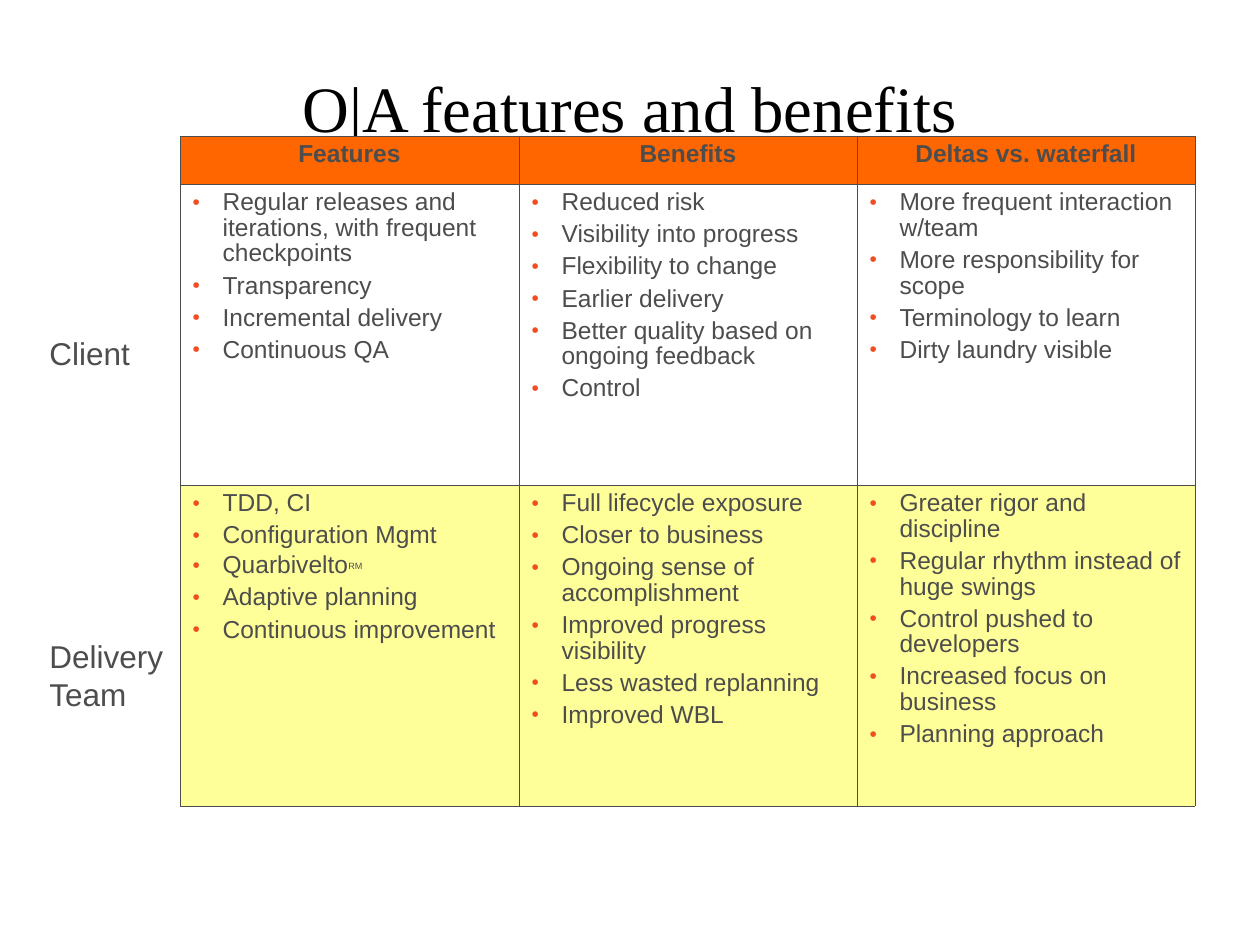
"""Build the features and benefits slide with its two-audience table."""
from lxml import etree
from pptx import Presentation, util as u
from pptx.dml.color import RGBColor
from pptx.enum import text
from pptx.oxml import ns

PX = 914400 // 126
COLORS = {"text": "4D4D4D", "title": "000000", "header": "FF6600",
          "team": "FFFF99", "bullet": "F04E22"}


def style(p, size, color="text", font="Arial", before=0, bold=False):
    p.font.size, p.font.name, p.font.bold = u.Pt(size), font, bold
    p.font.color.rgb = RGBColor.from_string(COLORS[color])
    p.space_before, p.space_after = u.Pt(before), u.Pt(0.1)


def add_xml(parent, tag, index=None, **attrs):
    el = etree.Element(ns.qn(tag), attrs)
    parent.insert(len(parent) if index is None else index, el)
    return el


prs = Presentation()
prs.slide_width, prs.slide_height = 1260 * PX, 945 * PX
s = prs.slides.add_slide(prs.slide_layouts[5])

title = s.shapes.title
title.left, title.top, title.width, title.height = (v * PX for v in (62, 55, 1135, 69))
tf = title.text_frame
tf.auto_size = text.MSO_AUTO_SIZE.NONE
tf.vertical_anchor = text.MSO_ANCHOR.TOP
tf.margin_left = tf.margin_right = tf.margin_bottom = 0
tf.margin_top = 13 * PX
tf.text = "O|A features and benefits"
p = tf.paragraphs[0]
p.alignment = text.PP_ALIGN.CENTER
style(p, 37, "title", "Times New Roman")

rows = [
    [["Features"], ["Benefits"], ["Deltas vs. waterfall"]],
    [["Regular releases and iterations, with frequent checkpoints", "Transparency",
      "Incremental delivery", "Continuous QA"],
     ["Reduced risk", "Visibility into progress", "Flexibility to change",
      "Earlier delivery", "Better quality based on ongoing feedback", "Control"],
     ["More frequent interaction w/team", "More responsibility for scope",
      "Terminology to learn", "Dirty laundry visible"]],
    [["TDD, CI", "Configuration Mgmt", "Quarbivelto^RM", "Adaptive planning",
      "Continuous improvement"],
     ["Full lifecycle exposure", "Closer to business", "Ongoing sense of accomplishment",
      "Improved progress visibility", "Less wasted replanning", "Improved WBL"],
     ["Greater rigor and discipline", "Regular rhythm instead of huge swings",
      "Control pushed to developers", "Increased focus on business",
      "Planning approach"]],
]
fills = ["header", None, "team"]
widths, heights = [339, 338, 338], [48, 301, 321]

table = s.shapes.add_table(3, 3, 180 * PX, 136 * PX, sum(widths) * PX, sum(heights) * PX).table
table.first_row = table.horz_banding = False
for col, width in zip(table.columns, widths):
    col.width = width * PX
for row, height in zip(table.rows, heights):
    row.height = height * PX

for i, row in enumerate(rows):
    for j, items in enumerate(row):
        cell = table.cell(i, j)
        if fills[i]:
            cell.fill.solid()
            cell.fill.fore_color.rgb = RGBColor.from_string(COLORS[fills[i]])
        else:
            cell.fill.background()
        tf = cell.text_frame
        for k, item in enumerate(items):
            p = tf.add_paragraph() if k else tf.paragraphs[0]
            name, _, mark = item.partition("^")
            p.add_run().text = name
            style(p, 14, before=2.4 if mark else 3.6, bold=i == 0)
            p.line_spacing = 0.93
            if mark:
                r = p.add_run()
                r.text = mark
                r.font.size = u.Pt(9)
                r.font._element.set("baseline", "30000")
            if i == 0:
                p.alignment = text.PP_ALIGN.CENTER
                continue
            pPr = p._p.get_or_add_pPr()
            pPr.set("marL", str(30 * PX))
            pPr.set("indent", str(-30 * PX))
            at = pPr.index(pPr.find(ns.qn("a:defRPr")))
            clr = add_xml(pPr, "a:buClr", at)
            add_xml(clr, "a:srgbClr", val=COLORS["bullet"])
            add_xml(pPr, "a:buSzPct", at + 1, val="85000")
            add_xml(pPr, "a:buFont", at + 2, typeface="Arial")
            add_xml(pPr, "a:buChar", at + 3, char="•")
        tcPr = cell._tc.get_or_add_tcPr()
        outer = {"L": j == 0, "R": j == 2, "T": i == 0, "B": i == 2}
        for n, (side, edge) in enumerate(outer.items()):
            ln = add_xml(tcPr, f"a:ln{side}", n, w=str(u.Pt(0.5 if edge else 0.23)))
            add_xml(add_xml(ln, "a:solidFill"), "a:srgbClr", val=COLORS["text"])

for label, top, height in [("Client", 328, 50), ("Delivery Team", 631, 88)]:
    tf = s.shapes.add_textbox(37 * PX, top * PX, 197 * PX, height * PX).text_frame
    tf.word_wrap = True
    tf.auto_size = text.MSO_AUTO_SIZE.SHAPE_TO_FIT_TEXT
    tf.text = label
    style(tf.paragraphs[0], 18, before=11.4)

prs.save("out.pptx")
